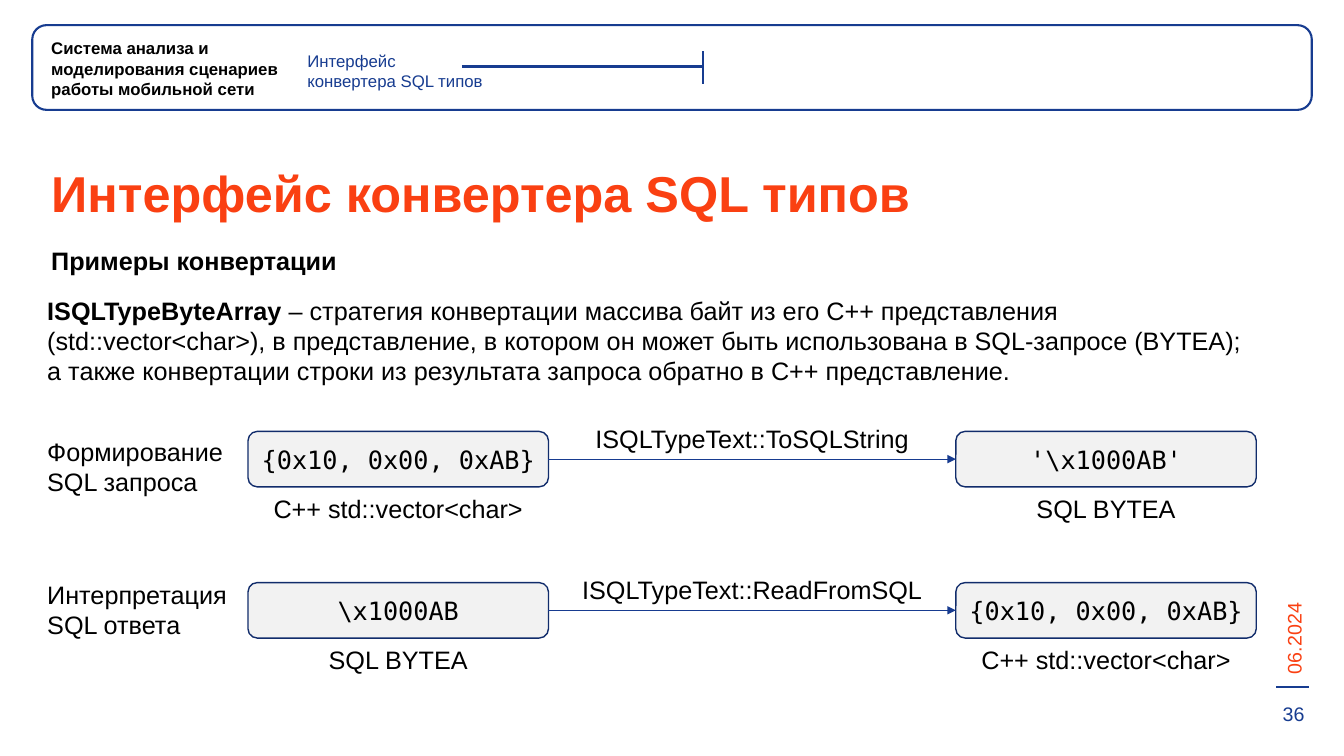
from dataclasses import dataclass

from lxml import etree
from pptx import Presentation
from pptx.dml.color import RGBColor
from pptx.enum.shapes import MSO_CONNECTOR, MSO_SHAPE
from pptx.enum.text import MSO_ANCHOR, PP_ALIGN
from pptx.oxml.ns import qn
from pptx.util import Pt

ROUNDED = MSO_SHAPE.ROUNDED_RECTANGLE
STRAIGHT = MSO_CONNECTOR.STRAIGHT
MIDDLE = MSO_ANCHOR.MIDDLE
LEFT, CENTER = PP_ALIGN.LEFT, PP_ALIGN.CENTER
LEFT_SIDE, RIGHT_SIDE = 1, 3

EMU_PER_PX = 9144  # 100 px to the inch
COLORS = {
    "black": "000000",
    "orange": "FA4012",
    "blue": "173C90",
    "box_fill": "F2F2F2",
    "box_line": "112C6B",
    "arrow": "173B90",
}
SANS, MONO = "Arial", "DejaVu Sans Mono"

BOX_W, BOX_H = 298, 55
LEFT_BOX_X, RIGHT_BOX_X = 246, 948
FIRST_ROW_Y, ROW_STEP = 428, 150


@dataclass(frozen=True)
class Style:
    size: int = 18
    color: str = "black"
    bold: bool = False
    font: str = SANS
    align: PP_ALIGN = LEFT


@dataclass(frozen=True)
class Label:
    x: int
    y: int
    w: int
    h: int
    text: str
    style: Style = Style()
    rotation: int = 0


@dataclass(frozen=True)
class Rule:
    x1: int
    y1: int
    x2: int
    y2: int


@dataclass(frozen=True)
class Value:
    text: str
    type_name: str


@dataclass(frozen=True)
class Conversion:
    source: Value
    method: str
    target: Value


BODY = Style()
BODY_BOLD = Style(bold=True)
CAPTION = Style(align=CENTER)
CODE = Style(font=MONO, align=CENTER)

LABELS = [
    Label(1223, 601, 121, 34, "06.2024", Style(14, "orange"), rotation=270),
    Label(41, 33, 255, 67, "Система анализа и моделирования сценариев работы мобильной сети",
          Style(12, bold=True)),
    Label(295, 45, 279, 50, "Интерфейс\nконвертера SQL типов", Style(12, "blue")),
    Label(41, 156, 1019, 71, "Интерфейс конвертера SQL типов", Style(36, "orange", bold=True)),
    Label(41, 238, 1207, 40, "Примеры конвертации", BODY_BOLD),
    Label(37, 428, 197, 71, "Формирование SQL запроса"),
    Label(37, 570, 208, 71, "Интерпретация SQL ответа"),
    Label(1257, 691, 52, 34, "36", Style(14, "blue", align=CENTER)),
]
STRATEGY = Label(37, 288, 1205, 104, "ISQLTypeByteArray", BODY_BOLD)
STRATEGY_DETAILS = (
    " – стратегия конвертации массива байт из его С++ представления (std::vector<char>), "
    "в представление, в котором он может быть использована в SQL-запросе (BYTEA); "
    "а также конвертации строки из результата запроса обратно в C++ представление."
)
RULES = [
    Rule(1266, 682, 1298, 682),
    Rule(458, 66, 697, 66),
    Rule(697, 51, 697, 83),
]
BYTES = Value("{0x10, 0x00, 0xAB}", "C++ std::vector<char>")
CONVERSIONS = [
    Conversion(BYTES, "ISQLTypeText::ToSQLString", Value("'\\x1000AB'", "SQL BYTEA")),
    Conversion(Value("\\x1000AB", "SQL BYTEA"), "ISQLTypeText::ReadFromSQL", BYTES),
]


def px(*lengths: int) -> list[int]:
    return [length * EMU_PER_PX for length in lengths]


def rgb(name: str) -> RGBColor:
    return RGBColor.from_string(COLORS[name])


def format_run(r, style: Style) -> None:
    r.font.name = style.font
    r.font.size = Pt(style.size)
    r.font.bold = style.bold
    r.font.color.rgb = rgb(style.color)


def write(tf, text: str, style: Style) -> None:
    tf.text = text
    tf.word_wrap = True
    for p in tf.paragraphs:
        p.alignment = style.align
        for r in p.runs:
            format_run(r, style)


def add_label(s, label: Label):
    sp = s.shapes.add_textbox(*px(label.x, label.y, label.w, label.h))
    sp.rotation = label.rotation
    write(sp.text_frame, label.text, label.style)
    return sp


def add_strategy(s) -> None:
    p = add_label(s, STRATEGY).text_frame.paragraphs[0]
    p.space_after = Pt(14)
    r = p.add_run()
    r.text = STRATEGY_DETAILS
    format_run(r, BODY)


def add_rounded(s, x: int, y: int, w: int, h: int, line: str, width: float):
    """Add an unfilled rounded rectangle with an outline."""
    sp = s.shapes.add_shape(ROUNDED, *px(x, y, w, h))
    sp.shadow.inherit = False
    sp.fill.background()
    sp.line.color.rgb = rgb(line)
    sp.line.width = Pt(width)
    return sp


def add_line(s, rule: Rule, color: str, width: float):
    line = s.shapes.add_connector(STRAIGHT, *px(rule.x1, rule.y1, rule.x2, rule.y2))
    line.line.color.rgb = rgb(color)
    line.line.width = Pt(width)
    etree.SubElement(line._element.spPr, qn("a:effectLst"))
    return line


def add_value(s, x: int, y: int, value: Value):
    """Add a value box with its type name below."""
    sp = add_rounded(s, x, y, BOX_W, BOX_H, "box_line", 1)
    sp.fill.solid()
    sp.fill.fore_color.rgb = rgb("box_fill")
    sp.text_frame.vertical_anchor = MIDDLE
    write(sp.text_frame, value.text, CODE)
    add_label(s, Label(x, y + BOX_H + 1, BOX_W, 40, value.type_name, CAPTION))
    return sp


def add_conversion(s, y: int, conversion: Conversion) -> None:
    source = add_value(s, LEFT_BOX_X, y, conversion.source)
    target = add_value(s, RIGHT_BOX_X, y, conversion.target)
    start, middle = LEFT_BOX_X + BOX_W, y + BOX_H // 2
    arrow = add_line(s, Rule(start, middle, RIGHT_BOX_X, middle), "arrow", 0.5)
    arrow.begin_connect(source, RIGHT_SIDE)
    arrow.end_connect(target, LEFT_SIDE)
    etree.SubElement(arrow.line._get_or_add_ln(), qn("a:tailEnd"), type="triangle")
    add_label(s, Label(start, y - 13, RIGHT_BOX_X - start, 40, conversion.method, CAPTION))


def main() -> None:
    prs = Presentation()
    prs.slide_width, prs.slide_height = px(1333, 750)
    s = prs.slides.add_slide(prs.slide_layouts[6])
    add_rounded(s, 32, 25, 1269, 84, "blue", 1.5)
    for rule in RULES:
        add_line(s, rule, "blue", 1.5)
    for label in LABELS:
        add_label(s, label)
    add_strategy(s)
    for row, conversion in enumerate(CONVERSIONS):
        add_conversion(s, FIRST_ROW_Y + row * ROW_STEP, conversion)
    prs.save("out.pptx")


if __name__ == "__main__":
    main()
